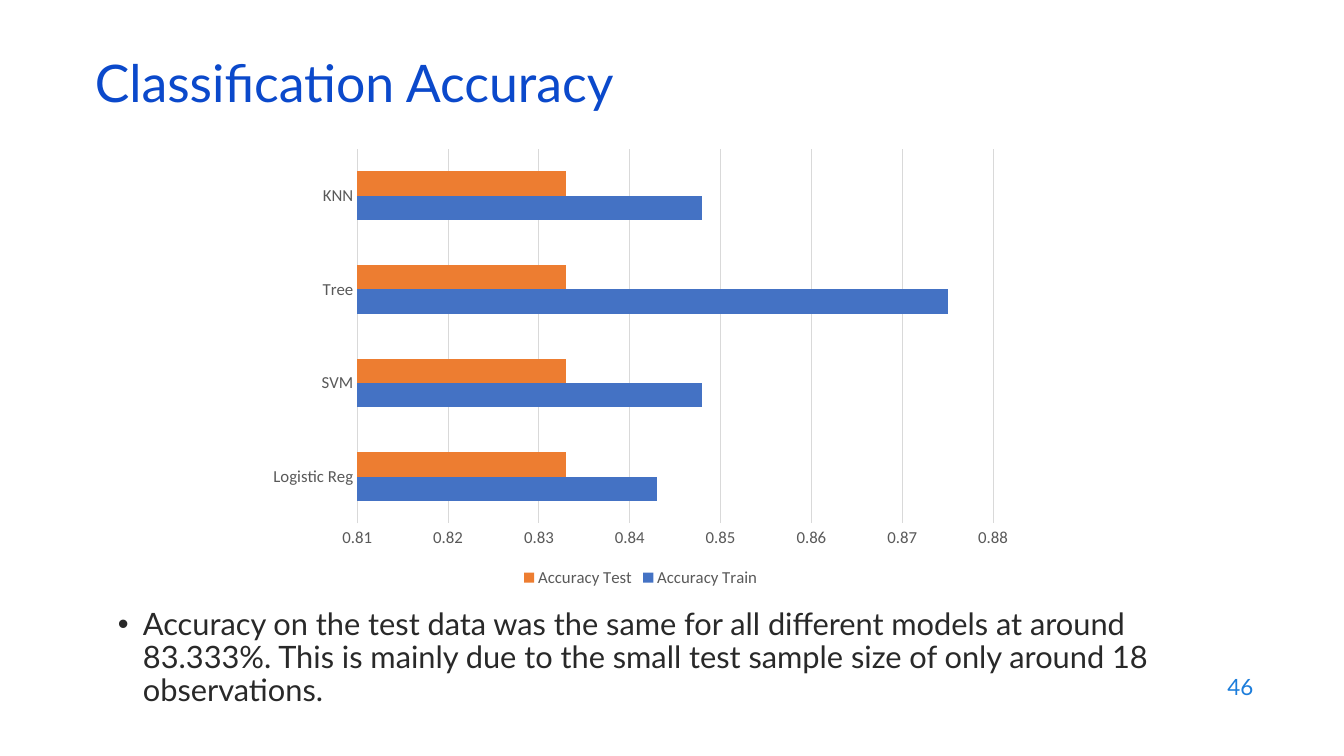
from lxml import etree
from pptx import Presentation
from pptx.chart.data import CategoryChartData
from pptx.dml.color import RGBColor
from pptx.enum.chart import XL_CHART_TYPE, XL_LEGEND_POSITION, XL_TICK_MARK
from pptx.enum.text import MSO_ANCHOR, MSO_AUTO_SIZE, PP_ALIGN
from pptx.oxml.ns import qn
from pptx.util import Inches, Pt

BAR = XL_CHART_TYPE.BAR_CLUSTERED
BOTTOM = XL_LEGEND_POSITION.BOTTOM
NO_TICK = XL_TICK_MARK.NONE
TOP, MIDDLE = MSO_ANCHOR.TOP, MSO_ANCHOR.MIDDLE
LEFT, RIGHT = PP_ALIGN.LEFT, PP_ALIGN.RIGHT

TITLE = "Classification Accuracy"
FINDING = (
    "Accuracy on the test data was the same for all different models at around "
    "83.333%. This is mainly due to the small test sample size of only around 18 "
    "observations."
)
PAGE = "46"
MODELS = ["Logistic Reg", "SVM", "Tree", "KNN"]
SERIES = [
    ("Accuracy Train", [0.843, 0.848, 0.875, 0.848], "4472C4"),
    ("Accuracy Test", [0.833] * 4, "ED7D31"),
]
TITLE_BOX = (0.84, 0.59, 11.5, 0.6)
CHART_BOX = (2.56, 1.39, 7.59, 4.48)
FINDING_BOX = (1.07, 5.99, 11.2, 1.2)
PAGE_BOX = (9.53, 6.59, 3, 0.44)
LABEL_GREY, GRID_GREY = "595959", "D9D9D9"


def rgb(value):
    return RGBColor.from_string(value)


def box(lengths):
    return [Inches(v) for v in lengths]


def set_font(font, name, size, color):
    font.name, font.size = name, Pt(size)
    font.color.rgb = rgb(color)


def set_line(line, color):
    line.color.rgb = rgb(color)
    line.width = Pt(0.75)


def write(sp, text, size, color, anchor, align, spacing=1.0):
    tf = sp.text_frame
    tf.text = text
    tf.word_wrap = True
    tf.auto_size = MSO_AUTO_SIZE.NONE
    tf.vertical_anchor = anchor
    p = tf.paragraphs[0]
    p.alignment = align
    p.line_spacing = spacing
    set_font(p.runs[0].font, "Lato", size, color)
    return p


def add_bullet(p, indent):
    pPr = p._p.get_or_add_pPr()
    pPr.set("marL", str(Inches(indent)))
    pPr.set("indent", str(-Inches(indent)))
    etree.SubElement(pPr, qn("a:buFont")).set("typeface", "Arial")
    etree.SubElement(pPr, qn("a:buChar")).set("char", "•")


def add_accuracy_chart(s):
    data = CategoryChartData()
    data.categories = MODELS
    for name, values, _ in SERIES:
        data.add_series(name, values)
    chart = s.shapes.add_chart(BAR, *box(CHART_BOX), data).chart
    chart.has_title = False
    set_font(chart.font, "Calibri", 12, LABEL_GREY)

    plot = chart.plots[0]
    plot.gap_width, plot.overlap = 182, 0
    plot.vary_by_categories = False
    for series, (_, _, color) in zip(plot.series, SERIES):
        series.format.fill.solid()
        series.format.fill.fore_color.rgb = rgb(color)

    models, accuracy = chart.category_axis, chart.value_axis
    for axis in (models, accuracy):
        axis.major_tick_mark = axis.minor_tick_mark = NO_TICK
        set_font(axis.tick_labels.font, "Calibri", 12, LABEL_GREY)
    set_line(models.format.line, GRID_GREY)
    accuracy.minimum_scale, accuracy.maximum_scale = 0.81, 0.88
    accuracy.major_unit = 0.01
    accuracy.tick_labels.number_format = "0.00"
    accuracy.tick_labels.number_format_is_linked = False
    accuracy.format.line.fill.background()
    set_line(accuracy.major_gridlines.format.line, GRID_GREY)

    chart.has_legend = True
    chart.legend.position = BOTTOM
    chart.legend.include_in_layout = False
    set_font(chart.legend.font, "Calibri", 12, LABEL_GREY)


def main():
    prs = Presentation()
    prs.slide_width, prs.slide_height = Inches(13.33), Inches(7.5)
    s = prs.slides.add_slide(prs.slide_layouts.get_by_name("Title Only"))

    title = s.shapes.title
    title.left, title.top, title.width, title.height = box(TITLE_BOX)
    write(title, TITLE, 37, "0B49CB", MIDDLE, LEFT, 0.7)

    add_accuracy_chart(s)

    finding = s.shapes.add_textbox(*box(FINDING_BOX))
    add_bullet(write(finding, FINDING, 22, "292929", TOP, LEFT, 0.9), 0.25)

    page = s.shapes.add_textbox(*box(PAGE_BOX))
    write(page, PAGE, 16, "1C7DDB", MIDDLE, RIGHT)

    prs.save("out.pptx")


if __name__ == "__main__":
    main()
